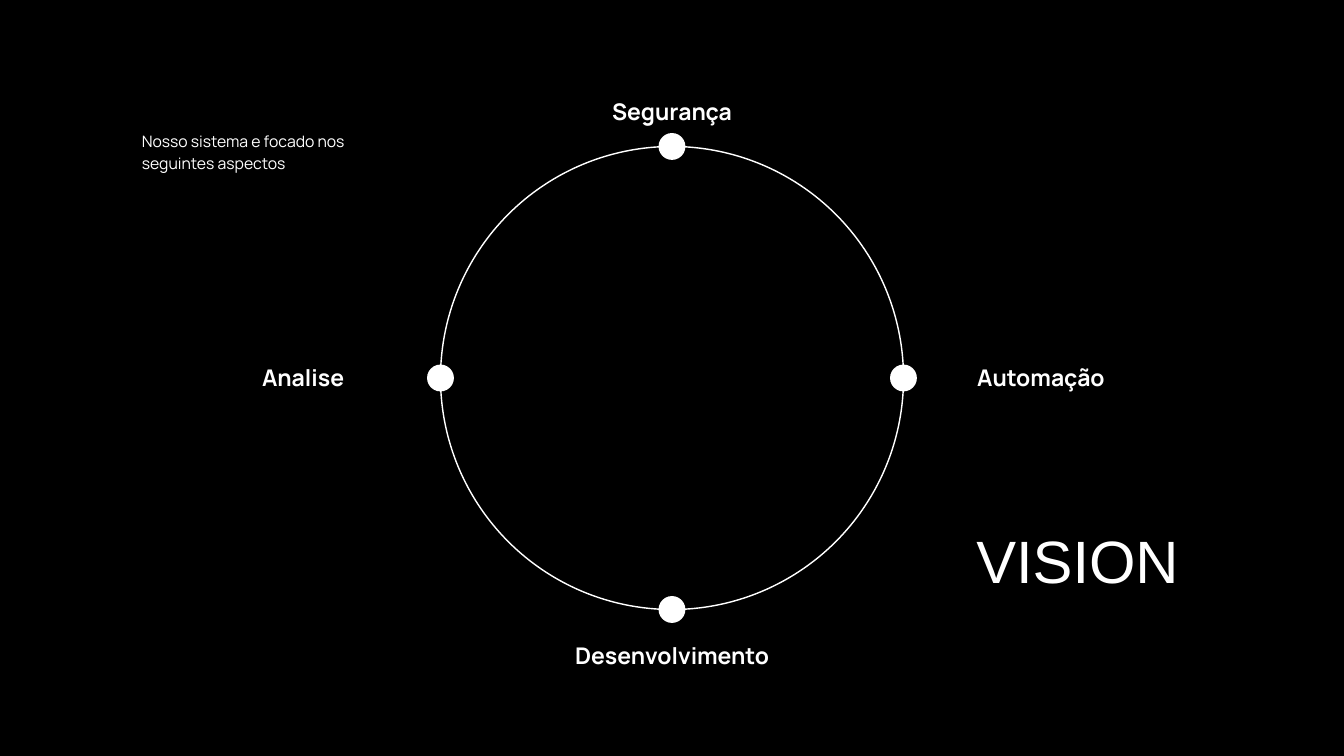
"""Build the VISION slide: four aspects placed around a ring."""
from dataclasses import dataclass

import pptx
import pptx.dml.color
import pptx.enum.shapes
import pptx.enum.text
import pptx.util

Inches = pptx.util.Inches
Pt = pptx.util.Pt
ALIGN = pptx.enum.text.PP_ALIGN


@dataclass(frozen=True)
class Theme:
    background: pptx.dml.color.RGBColor = pptx.dml.color.RGBColor(0, 0, 0)
    ink: pptx.dml.color.RGBColor = pptx.dml.color.RGBColor(255, 255, 255)
    body_font: str = "Manrope"
    title_font: str = "Arial"
    label_size: float = 24.6
    label_leading: float = 34.4
    intro_size: float = 16.9
    intro_leading: float = 23.6
    title_size: float = 64
    title_leading: float = 72.4
    ring_width: float = 1.5


THEME = Theme()
CENTER_X, CENTER_Y = 10, 5.625
RING_RADIUS = 3.445
DOT_RADIUS = 0.2
LABEL_WIDTH, LABEL_HEIGHT = 3.12, 0.48

# name, direction from the centre (x, y), label left, label top
ASPECTS = [
    ("Segurança", 0, -1, 8.44, 1.39),
    ("Analise", -1, 0, 2.95, 5.34),
    ("Automação", 1, 0, 13.93, 5.34),
    ("Desenvolvimento", 0, 1, 8.44, 9.48),
]


def add_text(s, text, box, font, size, leading, align=ALIGN.CENTER, bold=False):
    tb = s.shapes.add_textbox(*map(Inches, box))
    tf = tb.text_frame
    tf.word_wrap = True
    tf.auto_size = pptx.enum.text.MSO_AUTO_SIZE.SHAPE_TO_FIT_TEXT
    tf.margin_left = tf.margin_right = tf.margin_top = tf.margin_bottom = 0
    p = tf.paragraphs[0]
    p.text = text
    p.alignment = align
    p.line_spacing = Pt(leading)
    r = p.runs[0]
    r.font.name = font
    r.font.size = Pt(size)
    r.font.bold = bold
    r.font.color.rgb = THEME.ink


def add_circle(s, x, y, radius):
    sp = s.shapes.add_shape(
        pptx.enum.shapes.MSO_SHAPE.OVAL,
        Inches(x - radius), Inches(y - radius),
        Inches(2 * radius), Inches(2 * radius))
    sp.shadow.inherit = False
    return sp


def add_dot(s, x, y):
    sp = add_circle(s, x, y, DOT_RADIUS)
    sp.fill.solid()
    sp.fill.fore_color.rgb = THEME.ink
    sp.line.fill.background()


def add_ring(s):
    sp = add_circle(s, CENTER_X, CENTER_Y, RING_RADIUS)
    sp.fill.background()
    sp.line.color.rgb = THEME.ink
    sp.line.width = Pt(THEME.ring_width)


def add_aspect(s, name, dx, dy, left, top):
    add_dot(s, CENTER_X + dx * RING_RADIUS, CENTER_Y + dy * RING_RADIUS)
    add_text(s, name, (left, top, LABEL_WIDTH, LABEL_HEIGHT), THEME.body_font,
             THEME.label_size, THEME.label_leading, bold=True)


def main():
    prs = pptx.Presentation()
    prs.slide_width, prs.slide_height = Inches(20), Inches(11.25)
    s = prs.slides.add_slide(prs.slide_layouts[6])
    s.background.fill.solid()
    s.background.fill.fore_color.rgb = THEME.background

    for aspect in ASPECTS:
        add_aspect(s, *aspect)
    add_text(s, "Nosso sistema e focado nos seguintes aspectos",
             (2.11, 1.92, 3.54, 0.67), THEME.body_font,
             THEME.intro_size, THEME.intro_leading, ALIGN.LEFT)
    add_text(s, "VISION", (13.93, 7.85, 4.21, 1.02), THEME.title_font,
             THEME.title_size, THEME.title_leading)
    add_ring(s)
    prs.save("out.pptx")


if __name__ == "__main__":
    main()
